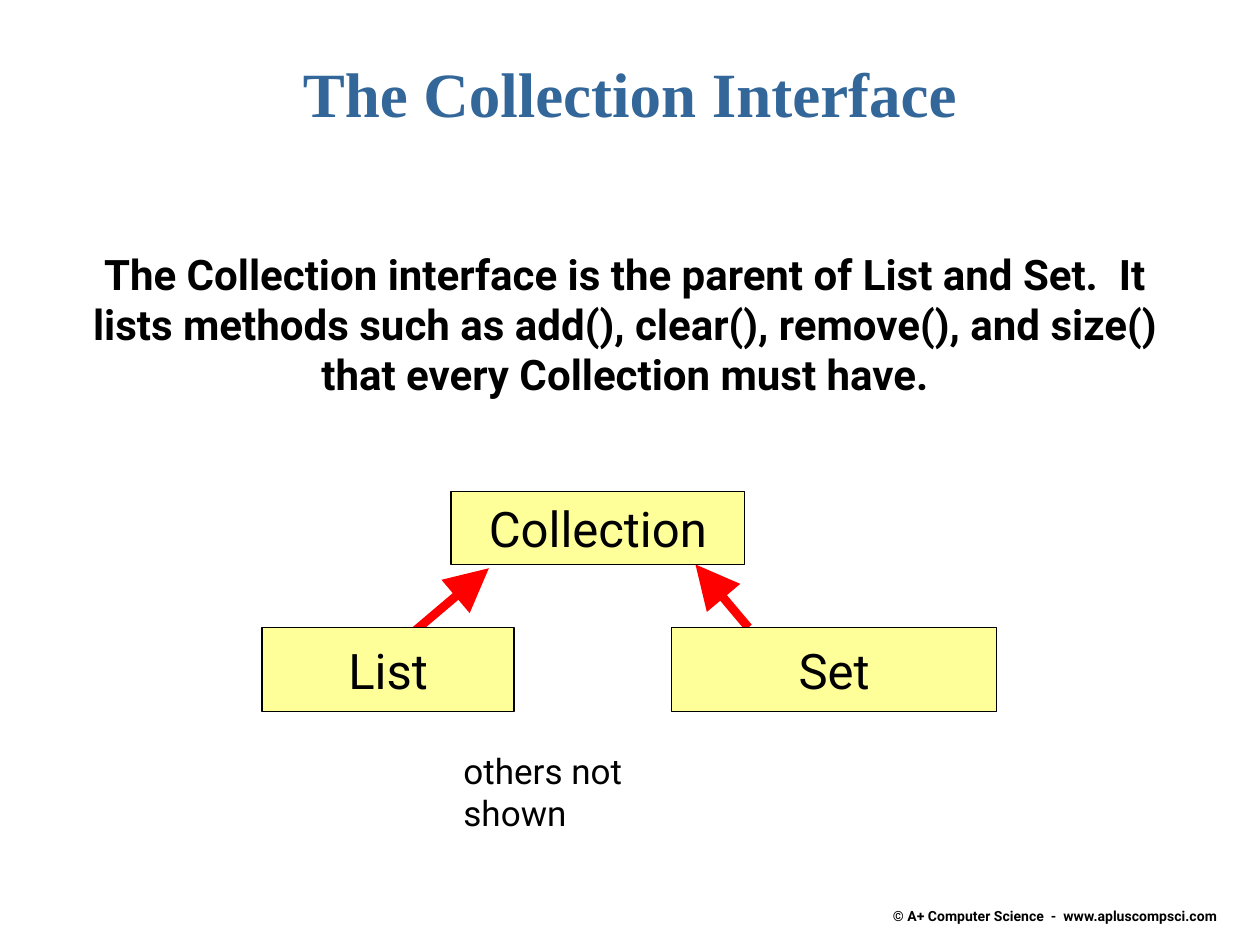
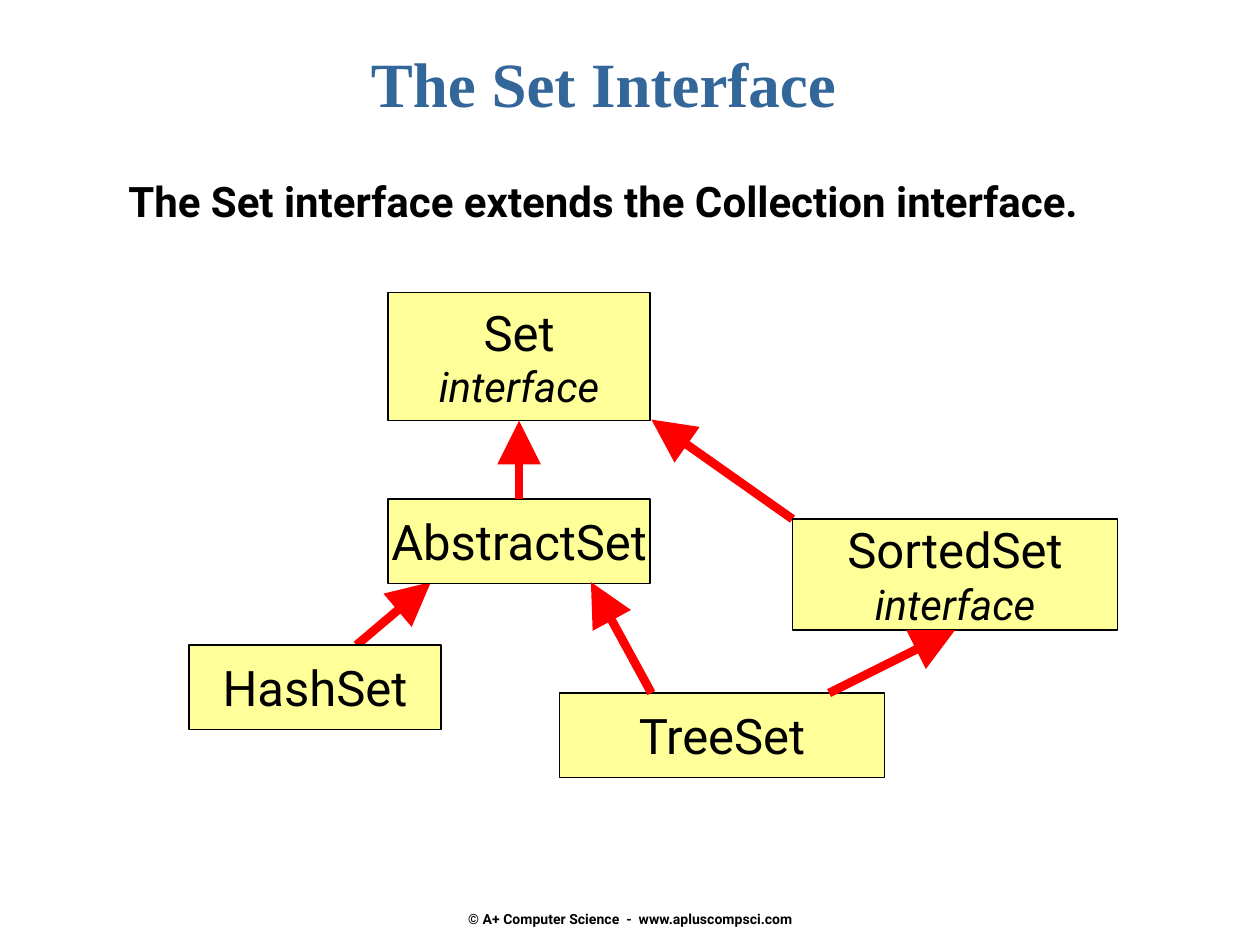
"""Build two slides on the Collection and Set interfaces."""
from lxml import etree
from pptx import Presentation
from pptx import util as u
from pptx.dml.color import RGBColor
from pptx.enum import shapes, text
from pptx.oxml.ns import qn

BLUE, YELLOW, RED, BLACK = "336699", "FFFF99", "FF0000", "000000"
FOOTER = "© A+ Computer Science  -  www.apluscompsci.com"
CENTER, LEFT = text.PP_ALIGN.CENTER, text.PP_ALIGN.LEFT
TOP, MIDDLE = text.MSO_ANCHOR.TOP, text.MSO_ANCHOR.MIDDLE

pages = [
    {
        "title": ("The Collection Interface", (0.75, 0.33, 8.5, 0.67)),
        "body": ("The Collection interface is the parent of List and Set.  It lists methods "
                 "such as add(), clear(), remove(), and size() that every Collection must have.",
                 (0.42, 1.92, 9.08, 1.31), CENTER),
        "footer": (6.79, 7.16, 3.17, 0.22),
        "arrows_behind": [(3.29, 5.01, 3.88, 4.51), (5.94, 4.98, 5.52, 4.48)],
        "boxes": {"Collection": (3.58, 3.9, 2.33, 0.58),
                  "List": (2.08, 4.98, 2, 0.67),
                  "Set": (5.33, 4.98, 2.58, 0.67)},
        "interfaces": [],
        "arrows_in_front": [],
        "note": ("others not shown", (3.58, 5.9, 1.9, 0.76)),
    },
    {
        "title": ("The Set Interface", (1.5, 0.25, 6.58, 0.58)),
        "body": ("The Set interface extends the Collection interface.",
                 (0.92, 1.34, 8.92, 0.5), LEFT),
        "footer": (3.42, 7.18, 3.17, 0.22),
        "arrows_behind": [(2.83, 5.12, 3.42, 4.62), (6.29, 4.12, 5.17, 3.33)],
        "boxes": {"TreeSet": (4.44, 5.5, 2.58, 0.67),
                  "AbstractSet": (3.08, 3.96, 2.08, 0.67),
                  "HashSet": (1.5, 5.12, 2, 0.67),
                  "SortedSet": (6.29, 4.12, 2.58, 0.88),
                  "Set": (3.08, 2.32, 2.08, 1.02)},
        "interfaces": ["Set", "SortedSet"],
        "arrows_in_front": [(4.12, 3.96, 4.12, 3.34, "AbstractSet", "Set"),
                            (5.17, 5.5, 4.69, 4.62),
                            (6.58, 5.5, 7.58, 5, None, "SortedSet")],
        "note": None,
    },
]


def write(shape, lines, align=CENTER, anchor=TOP, wrap=False):
    """Fill a shape with lines of (text, size, colour, font, bold, italic)."""
    frame = shape.text_frame
    frame.auto_size = text.MSO_AUTO_SIZE.NONE
    frame.word_wrap = wrap
    frame.vertical_anchor = anchor
    frame.text = "\n".join(line[0] for line in lines)
    for para, (_, size, colour, name, bold, italic) in zip(frame.paragraphs, lines):
        para.alignment = align
        para.font.size = u.Pt(size)
        para.font.name = name
        para.font.bold = bold
        para.font.italic = italic
        para.font.color.rgb = RGBColor.from_string(colour)


def draw_arrow(slide, boxes, x1, y1, x2, y2, start=None, end=None):
    """Draw a red arrow, joined to the top of start and the bottom of end."""
    arrow = slide.shapes.add_connector(
        shapes.MSO_CONNECTOR.STRAIGHT, *map(u.Inches, (x1, y1, x2, y2)))
    if start:
        arrow.begin_connect(boxes[start], 0)
    if end:
        arrow.end_connect(boxes[end], 2)
    arrow.line.color.rgb = RGBColor.from_string(RED)
    arrow.line.width = u.Pt(5)
    etree.SubElement(arrow.line._get_or_add_ln(), qn("a:tailEnd"),
                     type="triangle", w="lg", len="lg")
    etree.SubElement(arrow._element.spPr, qn("a:effectLst"))


deck = Presentation()
deck.slide_width, deck.slide_height = u.Inches(10), u.Inches(7.5)

for page in pages:
    slide = deck.slides.add_slide(deck.slide_layouts[5])

    heading, place = page["title"]
    title = slide.shapes.title
    title.left, title.top, title.width, title.height = map(u.Inches, place)
    write(title, [(heading, 36, BLUE, "Times New Roman", True, False)])
    title.text_frame.margin_top = u.Inches(0.1)

    footer = slide.shapes.add_textbox(*map(u.Inches, page["footer"]))
    write(footer, [(FOOTER, 8, BLACK, "Roboto", True, False)], anchor=MIDDLE)

    sentence, place, align = page["body"]
    body = slide.shapes.add_textbox(*map(u.Inches, place))
    write(body, [(sentence, 24, BLACK, "Roboto", True, False)], align, wrap=True)

    boxes = {}
    for ends in page["arrows_behind"]:
        draw_arrow(slide, boxes, *ends)

    for name, place in page["boxes"].items():
        box = slide.shapes.add_shape(shapes.MSO_SHAPE.RECTANGLE, *map(u.Inches, place))
        box.shadow.inherit = False
        box.fill.solid()
        box.fill.fore_color.rgb = RGBColor.from_string(YELLOW)
        box.line.color.rgb = RGBColor.from_string(BLACK)
        box.line.width = u.Pt(0.75)
        lines = [(name, 28, BLACK, "Roboto", False, False)]
        if name in page["interfaces"]:
            lines.append(("interface", 24, BLACK, "Roboto", False, True))
        write(box, lines, anchor=MIDDLE)
        boxes[name] = box

    for ends in page["arrows_in_front"]:
        draw_arrow(slide, boxes, *ends)

    if page["note"]:
        remark, place = page["note"]
        note = slide.shapes.add_textbox(*map(u.Inches, place))
        write(note, [(remark, 20, BLACK, "Roboto", False, False)], LEFT, wrap=True)

deck.save("out.pptx")
